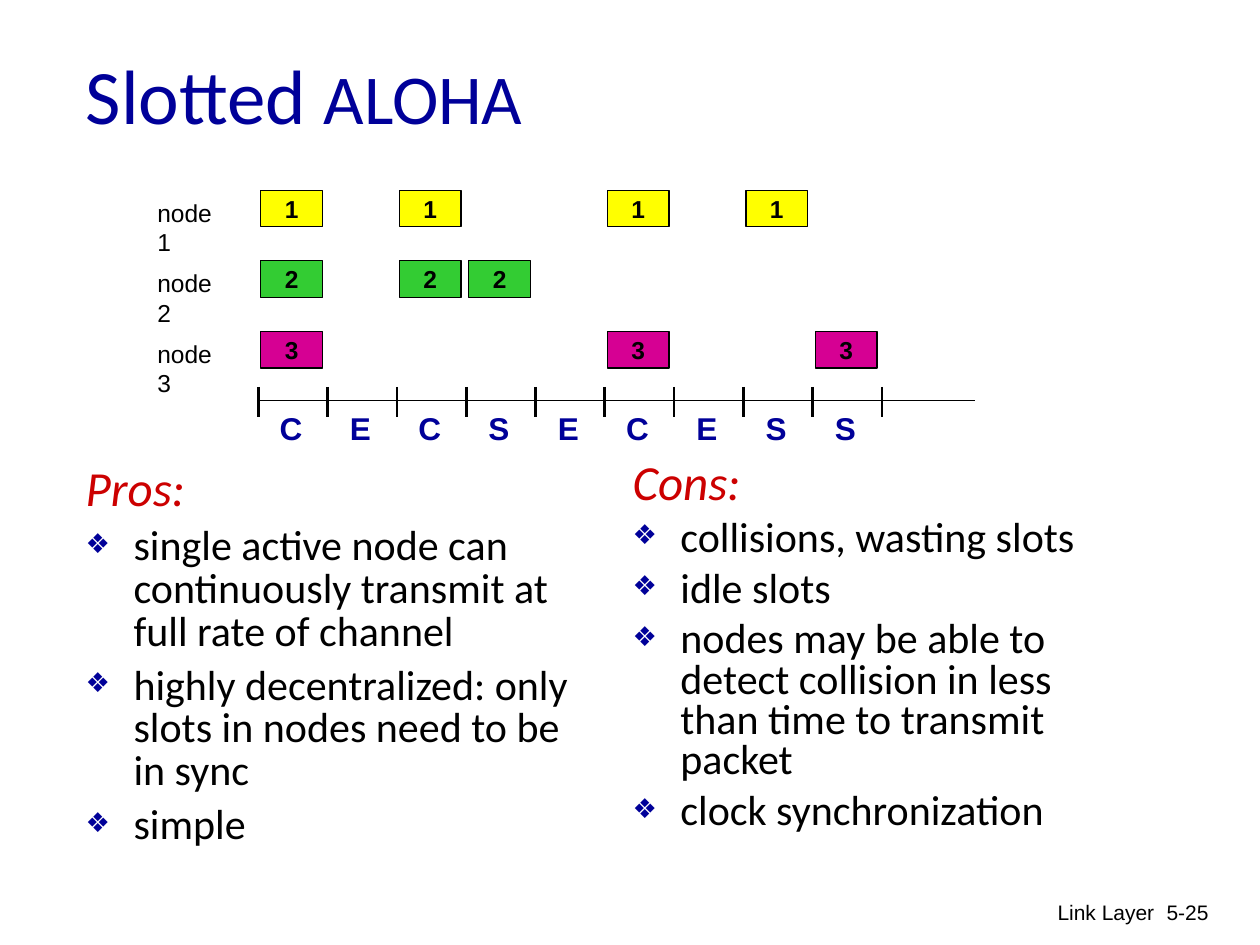
from dataclasses import dataclass

from pptx import Presentation
from pptx.dml.color import RGBColor
from pptx.enum.shapes import MSO_CONNECTOR as Connector, MSO_SHAPE as Shape
from pptx.enum.text import MSO_ANCHOR as Anchor, MSO_AUTO_SIZE as AutoSize, PP_ALIGN as Align
from pptx.oxml.ns import qn
from pptx.util import Inches, Pt
from lxml.etree import SubElement


@dataclass(frozen=True)
class Theme:
    ink: str = "000000"
    navy: str = "000099"
    red: str = "CC0000"
    packets: tuple = ("FFFF00", "33CC33", "D60093")
    heading_font: str = "Calibri"
    label_font: str = "Arial"
    title: int = 44
    title_caps: int = 40
    heading: int = 28
    body: int = 24
    outcome: int = 18
    label: int = 14
    footer: int = 12


THEME = Theme()

AXIS_LEFT, AXIS_RIGHT, AXIS_Y = 2.05, 7.74, 3.18
SLOT_WIDTH = 0.55
ROW_TOP, ROW_PITCH = 1.51, 0.56
PACKET_WIDTH, PACKET_HEIGHT = 0.49, 0.29
OUTCOMES = "CECSECESS"
TRANSMISSIONS = ((0, 2, 5, 7), (0, 2, 3), (0, 5, 8))

PROS = (
    "single active node can continuously transmit at full rate of channel",
    "highly decentralized: only slots in nodes need to be in sync",
    "simple",
)
CONS = (
    "collisions, wasting slots",
    "idle slots",
    "nodes may be able to detect collision in less than time to transmit packet",
    "clock synchronization",
)


def style(font, size, color=THEME.ink, name=THEME.label_font, bold=False, italic=False):
    font.size, font.name = Pt(size), name
    font.bold, font.italic = bold, italic
    font.color.rgb = RGBColor.from_string(color)


def place(item, left, top, width, height):
    item.left, item.top = Inches(left), Inches(top)
    item.width, item.height = Inches(width), Inches(height)


def add_label(slide, text, box, size, align=Align.LEFT, wrap=False, **look):
    label = slide.shapes.add_textbox(*map(Inches, box))
    label.text_frame.word_wrap = wrap
    label.text_frame.text = text
    paragraph = label.text_frame.paragraphs[0]
    paragraph.alignment = align
    style(paragraph.runs[0].font, size, **look)


def add_line(slide, start, end, weight):
    line = slide.shapes.add_connector(Connector.STRAIGHT, *map(Inches, start + end))
    line.line.color.rgb = RGBColor.from_string(THEME.ink)
    line.line.width = Pt(weight)
    SubElement(line._element.spPr, qn("a:effectLst"))


def add_packet(slide, node, slot):
    left = AXIS_LEFT + 0.02 + slot * SLOT_WIDTH
    top = ROW_TOP + node * ROW_PITCH
    packet = slide.shapes.add_shape(
        Shape.RECTANGLE, *map(Inches, (left, top, PACKET_WIDTH, PACKET_HEIGHT))
    )
    packet.shadow.inherit = False
    packet.fill.solid()
    packet.fill.fore_color.rgb = RGBColor.from_string(THEME.packets[node])
    packet.line.color.rgb = RGBColor.from_string(THEME.ink)
    packet.line.width = Pt(0.75)
    frame = packet.text_frame
    frame.margin_left = frame.margin_right = frame.margin_top = frame.margin_bottom = 0
    frame.vertical_anchor = Anchor.MIDDLE
    frame.text = str(node + 1)
    frame.paragraphs[0].alignment = Align.CENTER
    style(frame.paragraphs[0].runs[0].font, THEME.label, bold=True)


def add_timeline(slide):
    for node, slots in enumerate(TRANSMISSIONS):
        row_box = (1.15, ROW_TOP + 0.01 + node * ROW_PITCH, 0.79, 0.34)
        add_label(slide, f"node {node + 1}", row_box, THEME.label)
        for slot in slots:
            add_packet(slide, node, slot)
    add_line(slide, (AXIS_LEFT, AXIS_Y), (AXIS_RIGHT, AXIS_Y), 0.75)
    for boundary in range(len(OUTCOMES) + 1):
        x = AXIS_LEFT + boundary * SLOT_WIDTH
        add_line(slide, (x, 3.07), (x, 3.31), 1.5)
    for slot, outcome in enumerate(OUTCOMES):
        box = (2.12 + slot * SLOT_WIDTH, 3.2, 0.38, 0.4)
        add_label(slide, outcome, box, THEME.outcome, Align.CENTER,
                  color=THEME.navy, bold=True)


def set_bullet(paragraph, bulleted):
    properties = paragraph._p.get_or_add_pPr()
    properties.set("marL", str(Inches(0.38)))
    properties.set("indent", str(-Inches(0.38)))
    if not bulleted:
        SubElement(properties, qn("a:buNone"))
        return
    color = SubElement(properties, qn("a:buClr"))
    SubElement(color, qn("a:srgbClr"), val=THEME.navy)
    SubElement(properties, qn("a:buSzPct"), val="65000")
    SubElement(properties, qn("a:buChar"), char="❖")


def fill_list(body, box, heading, points, line_spacing):
    place(body, *box)
    frame = body.text_frame
    frame.auto_size = AutoSize.NONE
    frame.text = "\n".join((heading,) + points)
    for position, paragraph in enumerate(frame.paragraphs):
        is_point = position > 0
        set_bullet(paragraph, is_point)
        paragraph.line_spacing = line_spacing
        paragraph.space_before = Pt(6 if is_point else 0)
        style(paragraph.runs[0].font,
              THEME.body if is_point else THEME.heading,
              THEME.ink if is_point else THEME.red,
              THEME.heading_font, italic=not is_point)


def fill_title(title):
    place(title, 0.58, 0.12, 5.42, 1.25)
    title.text_frame.auto_size = AutoSize.NONE
    title.text_frame.vertical_anchor = Anchor.MIDDLE
    paragraph = title.text_frame.paragraphs[0]
    paragraph.alignment = Align.LEFT
    for text, size in (("Slotted ", THEME.title), ("ALOHA", THEME.title_caps)):
        run = paragraph.add_run()
        run.text = text
        style(run.font, size, THEME.navy, THEME.heading_font)


def main():
    deck = Presentation()
    deck.slide_width, deck.slide_height = Inches(10), Inches(7.5)
    slide = deck.slides.add_slide(deck.slide_layouts[3])
    title, pros, cons = slide.placeholders
    fill_title(title)
    fill_list(pros, (0.58, 3.65, 4.17, 3.5), "Pros:", PROS, 0.85)
    fill_list(cons, (4.92, 3.62, 4.17, 3.5), "Cons:", CONS, 0.8)
    add_timeline(slide)
    add_label(slide, "Link Layer", (6.09, 7.09, 3.17, 0.5), THEME.footer, Align.RIGHT, True)
    add_label(slide, "5-25", (8.95, 7.09, 0.74, 0.5), THEME.footer, Align.RIGHT, True)
    deck.save("out.pptx")


if __name__ == "__main__":
    main()
